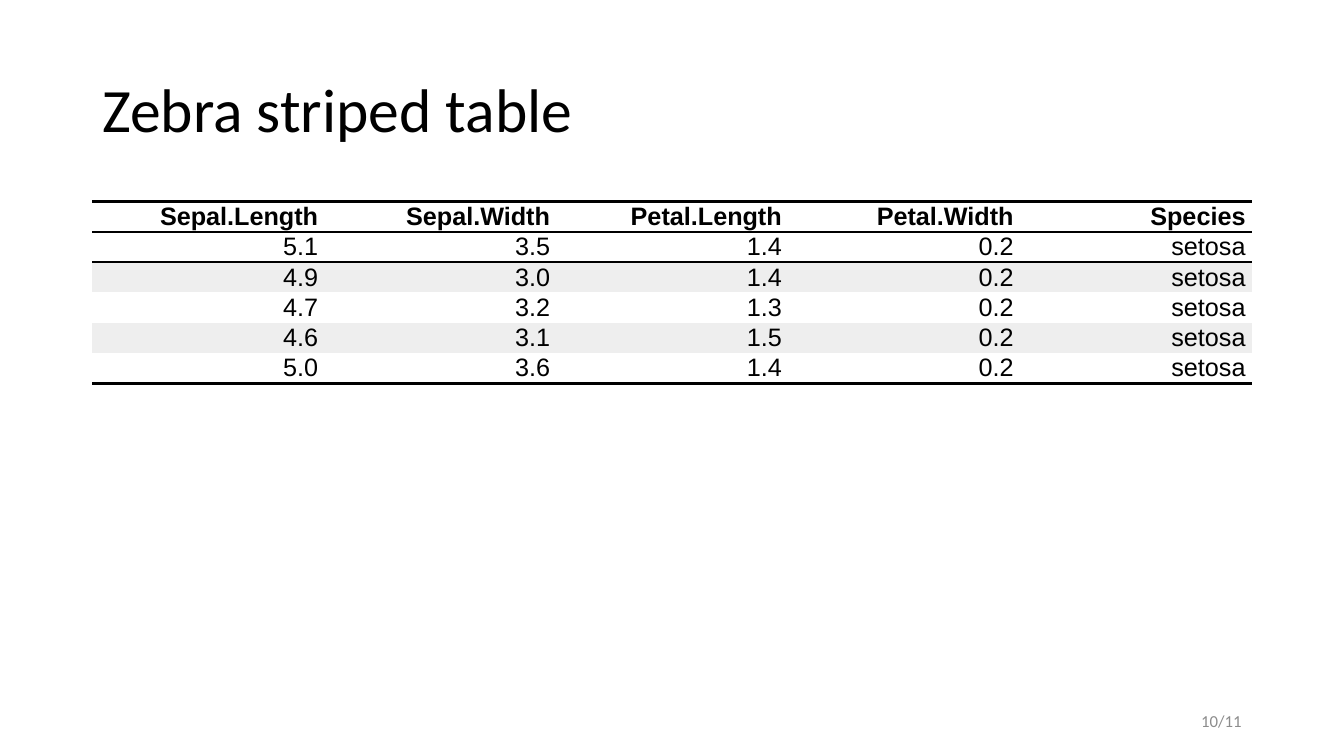
from dataclasses import dataclass

import pptx
import pptx.dml.color
import pptx.enum.text
import pptx.oxml
import pptx.oxml.ns
import pptx.slide
import pptx.table
import pptx.text.text
import pptx.util

Align = pptx.enum.text.PP_ALIGN
Anchor = pptx.enum.text.MSO_ANCHOR


@dataclass(frozen=True)
class Theme:
    ink: str = "000000"
    muted: str = "8C8C8C"
    plain_row: str = "FFFFFF"
    striped_row: str = "EEEEEE"
    heading_font: str = "Calibri"
    table_font: str = "Arial"
    title_size: int = 44
    table_size: int = 18
    number_size: int = 12
    rule_width: int = 2
    cell_gap: float = 0.06


@dataclass(frozen=True)
class Area:
    """A place on the slide, in grid columns and rows."""
    column: float
    row: float
    columns: float
    rows: float

    def lengths(self) -> tuple[int, int, int, int]:
        return tuple(round(count * UNIT) for count in
                     (self.column, self.row, self.columns, self.rows))


@dataclass(frozen=True)
class Label:
    text: str
    area: Area
    size: int
    color: str
    align: Align = Align.LEFT
    line_spacing: float = 1.0


THEME = Theme()

# Square grid: 160 columns by 90 rows
UNIT = pptx.util.Inches(7.5) / 90
ROW_HEIGHT = 3.37
NO_STYLE = "{2D5ABB26-0587-4C30-8999-92F81FD0307C}"

LABELS = [
    Label("Zebra striped table", Area(11, 4.7, 138, 17.4),
          THEME.title_size, THEME.ink, line_spacing=0.9),
    Label("10/11", Area(113, 83.4, 36, 4.8),
          THEME.number_size, THEME.muted, Align.RIGHT),
]

IRIS = [
    ("Sepal.Length", "Sepal.Width", "Petal.Length", "Petal.Width", "Species"),
    ("5.1", "3.5", "1.4", "0.2", "setosa"),
    ("4.9", "3.0", "1.4", "0.2", "setosa"),
    ("4.7", "3.2", "1.3", "0.2", "setosa"),
    ("4.6", "3.1", "1.5", "0.2", "setosa"),
    ("5.0", "3.6", "1.4", "0.2", "setosa"),
]


def set_font(para: pptx.text.text._Paragraph, name: str, size: int,
             color: str, bold: bool = False) -> None:
    para.font.name = name
    para.font.size = pptx.util.Pt(size)
    para.font.bold = bold
    para.font.color.rgb = pptx.dml.color.RGBColor.from_string(color)


def add_label(page: pptx.slide.Slide, label: Label) -> None:
    frame = page.shapes.add_textbox(*label.area.lengths()).text_frame
    frame.word_wrap = True
    frame.vertical_anchor = Anchor.MIDDLE
    para = frame.paragraphs[0]
    para.text = label.text
    para.alignment = label.align
    para.line_spacing = label.line_spacing
    set_font(para, THEME.heading_font, label.size, label.color)


def add_rule(cell: pptx.table._Cell, side: str) -> None:
    """Draw a border on the top (T) or bottom (B) of a cell."""
    width = pptx.util.Pt(THEME.rule_width)
    cell._tc.get_or_add_tcPr().append(pptx.oxml.parse_xml(
        f'<a:ln{side} {pptx.oxml.ns.nsdecls("a")} w="{width}"><a:solidFill>'
        f'<a:srgbClr val="{THEME.ink}"/></a:solidFill></a:ln{side}>'))


def fill_cell(cell: pptx.table._Cell, text: str, row: int) -> None:
    is_header = row == 0
    cell.margin_left = cell.margin_right = 0
    cell.margin_top = cell.margin_bottom = 0
    cell.vertical_anchor = Anchor.MIDDLE

    # Rules around the header and under the last row
    if row <= 1:
        add_rule(cell, "T")
    if is_header or row == len(IRIS) - 1:
        add_rule(cell, "B")

    # Zebra stripes
    if is_header:
        cell.fill.background()
    else:
        color = THEME.plain_row if row % 2 else THEME.striped_row
        cell.fill.solid()
        cell.fill.fore_color.rgb = pptx.dml.color.RGBColor.from_string(color)

    # Text
    para = cell.text_frame.paragraphs[0]
    para.text = text
    para.alignment = Align.RIGHT
    para.space_before = para.space_after = pptx.util.Pt(1)
    for margin in ("marL", "marR"):
        para._p.get_or_add_pPr().set(
            margin, str(pptx.util.Inches(THEME.cell_gap)))
    set_font(para, THEME.table_font, THEME.table_size, THEME.ink, is_header)


def add_iris_table(page: pptx.slide.Slide) -> None:
    area = Area(11, 24, 138, ROW_HEIGHT * len(IRIS))
    frame = page.shapes.add_table(len(IRIS), len(IRIS[0]), *area.lengths())
    table = frame.table
    table.horz_banding = False
    table._tbl.tblPr.find(
        pptx.oxml.ns.qn("a:tableStyleId")).text = NO_STYLE
    for row, texts in enumerate(IRIS):
        for column, text in enumerate(texts):
            fill_cell(table.cell(row, column), text, row)


def main() -> None:
    deck = pptx.Presentation()
    deck.slide_width = round(160 * UNIT)
    deck.slide_height = round(90 * UNIT)
    page = deck.slides.add_slide(deck.slide_layouts[6])
    for label in LABELS:
        add_label(page, label)
    add_iris_table(page)
    deck.save("out.pptx")


if __name__ == "__main__":
    main()
